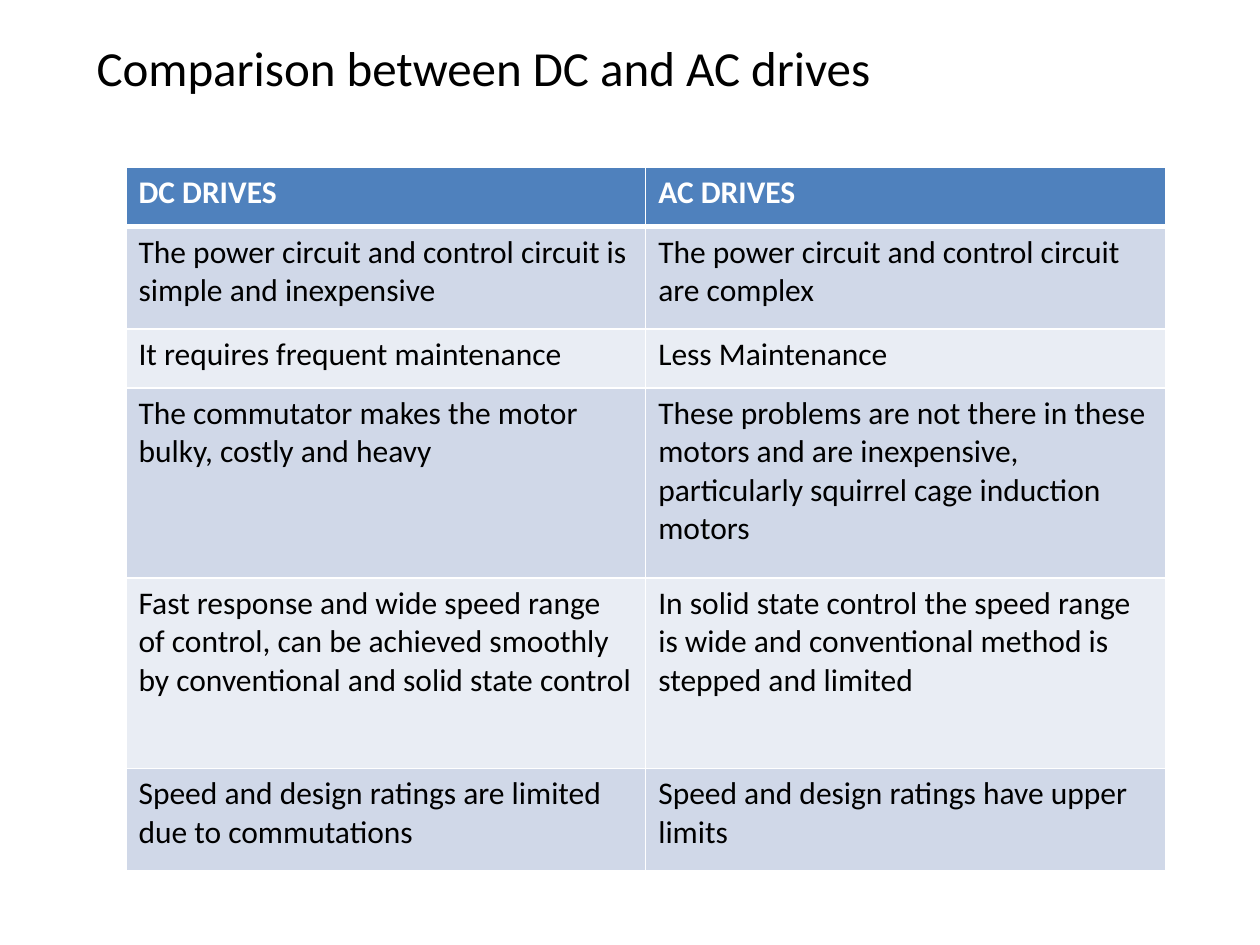
import pptx
import pptx.util
import pptx.dml.color
import pptx.enum.text
import pptx.oxml.ns
from lxml import etree

# Content
TITLE = "Comparison between DC and AC drives"
ROWS = [
    ("DC DRIVES", "AC DRIVES"),
    ("The power circuit and control circuit is simple and inexpensive",
     "The power circuit and control circuit are complex"),
    ("It requires frequent maintenance", "Less Maintenance"),
    ("The commutator makes the motor bulky, costly and heavy",
     "These problems are not there in these motors and are inexpensive, "
     "particularly squirrel cage induction motors"),
    ("Fast response and wide speed range of control, can be achieved smoothly "
     "by conventional and solid state control",
     "In solid state control the speed range is wide and conventional method "
     "is stepped and limited"),
    ("Speed and design ratings are limited due to commutations",
     "Speed and design ratings have upper limits"),
]
# Row height follows the number of lines each row has room for
ROOM = [1, 2, 1, 4, 4, 2]
HIGH = {1: 0.47, 2: 0.81, 4: 1.51}

THEME = dict(font="Calibri", title=28, body=18, ink="000000", white="FFFFFF",
             head="4F81BD", bands=("E9EDF4", "D0D8E8"), thin=1, thick=3)
WIDE, TALL = 10, 7.5
inch = pptx.util.Inches


def color(name):
    return pptx.dml.color.RGBColor.from_string(THEME[name] if name in THEME else name)


def style(para, size, ink, bold=False):
    font = para.font
    font.name, font.size, font.bold = THEME["font"], pptx.util.Pt(THEME[size]), bold
    font.color.rgb = color(ink)


def border(cell, row):
    """Draw white edges, with a thick rule below the header."""
    props = cell._tc.get_or_add_tcPr()
    rule = {"lnT": row == 1, "lnB": row == 0}
    for spot, side in enumerate(("lnL", "lnR", "lnT", "lnB")):
        size = THEME["thick" if rule.get(side) else "thin"]
        line = etree.Element(pptx.oxml.ns.qn("a:" + side), w=str(pptx.util.Pt(size)))
        fill = etree.SubElement(line, pptx.oxml.ns.qn("a:solidFill"))
        etree.SubElement(fill, pptx.oxml.ns.qn("a:srgbClr"), val=THEME["white"])
        props.insert(spot, line)


def add_title(slide):
    box = slide.shapes.title
    box.left, box.top = inch(WIDE / 15), inch(TALL / 30)
    box.width, box.height = inch(WIDE * 0.7), inch(0.57)
    frame = box.text_frame
    frame.text = TITLE
    frame.auto_size = pptx.enum.text.MSO_AUTO_SIZE.NONE
    frame.vertical_anchor = pptx.enum.text.MSO_ANCHOR.TOP
    para = frame.paragraphs[0]
    para.alignment = pptx.enum.text.PP_ALIGN.LEFT
    style(para, "title", "ink")


def add_grid(slide):
    highs = [HIGH[room] for room in ROOM]
    grid = slide.shapes.add_table(
        len(ROWS), len(ROWS[0]), inch(WIDE * 0.1), inch(1.33),
        inch(WIDE * 0.825), inch(sum(highs))).table
    for row, (texts, high) in enumerate(zip(ROWS, highs)):
        grid.rows[row].height = inch(high)
        head = row == 0
        for col, text in enumerate(texts):
            cell = grid.cell(row, col)
            cell.text = text
            cell.fill.solid()
            cell.fill.fore_color.rgb = color("head" if head else THEME["bands"][row % 2])
            border(cell, row)
            style(cell.text_frame.paragraphs[0], "body",
                  "white" if head else "ink", head)


def main():
    deck = pptx.Presentation()
    deck.slide_width, deck.slide_height = inch(WIDE), inch(TALL)
    slide = deck.slides.add_slide(deck.slide_layouts.get_by_name("Title Only"))
    add_grid(slide)
    add_title(slide)
    deck.save("out.pptx")


if __name__ == "__main__":
    main()
